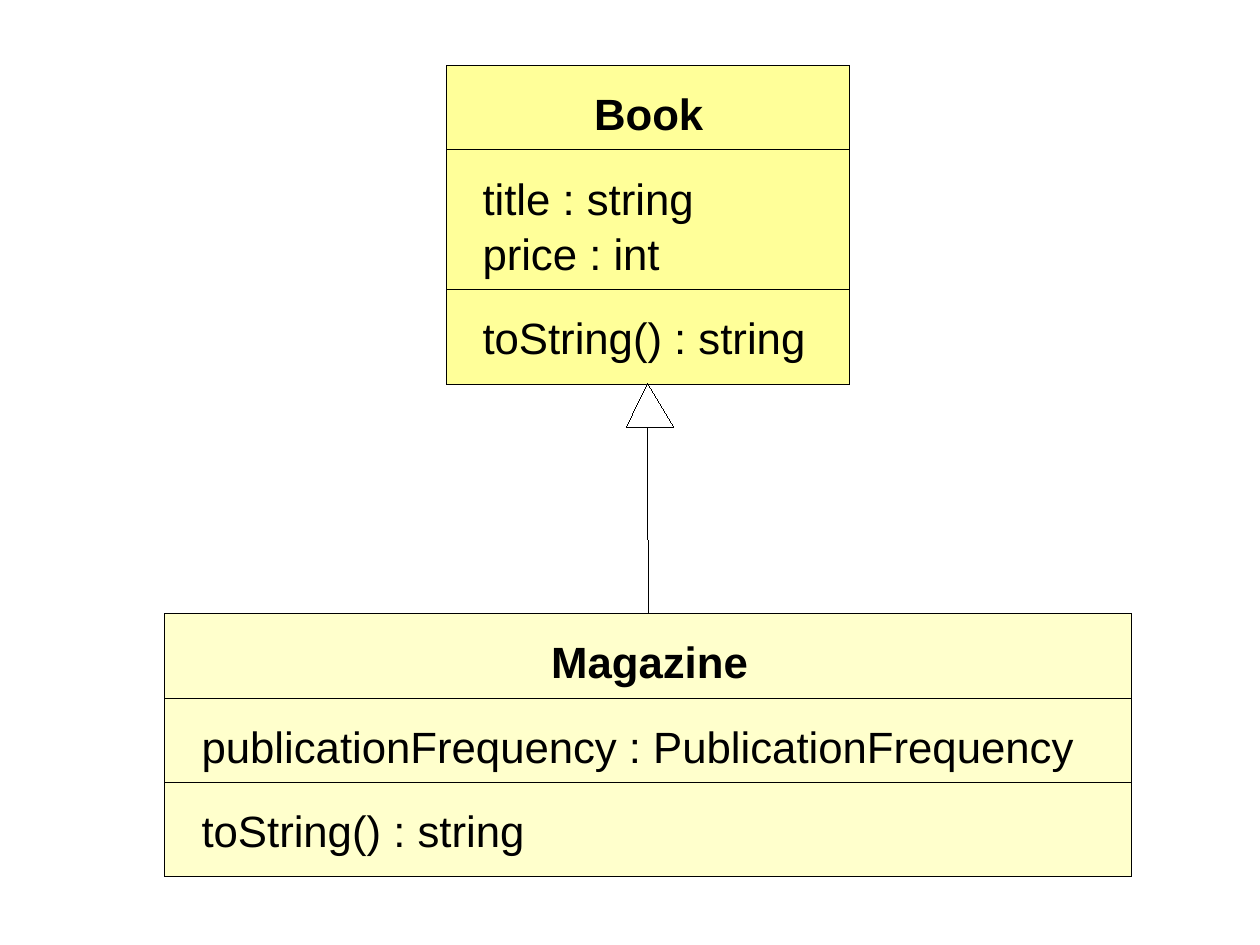
from lxml.etree import SubElement
from pptx import Presentation
from pptx.dml.color import RGBColor
from pptx.enum.shapes import MSO_CONNECTOR, MSO_SHAPE
from pptx.oxml.ns import qn
from pptx.util import Inches as In, Pt

# Row rules shared by every class box, in inches
HEAD, ROW, TOP, PAD, FOOT = 0.67, 0.44, 0.17, 0.06, 0.08
INSET, SHIFT = 0.29, 0.1
BLACK = "000000"
HAIR = Pt(0.01)


def color(code):
    return RGBColor.from_string(code)


def ink(line):
    line.color.rgb = color(BLACK)
    line.width = HAIR


def paint(shape, fill):
    shape.shadow.inherit = False
    shape.fill.solid()
    shape.fill.fore_color.rgb = color(fill)
    ink(shape.line)


def add_line(parent, x1, y1, x2, y2):
    line = parent.add_connector(MSO_CONNECTOR.STRAIGHT, In(x1), In(y1), In(x2), In(y2))
    ink(line.line)
    SubElement(line._element.spPr, qn("a:effectLst"))
    return line


def add_text(parent, text, x, y, width, bold=False):
    frame = parent.add_textbox(In(x), In(y), In(width), In(ROW)).text_frame
    frame.margin_left = frame.margin_right = 0
    frame.margin_top = frame.margin_bottom = 0
    frame.word_wrap = False
    run = frame.paragraphs[0].add_run()
    run.text = text
    run.font.name, run.font.size, run.font.bold = "Arial", Pt(25), bold
    run.font.color.rgb = color(BLACK)


def add_class(slide, name, parts, x, y, width, fill):
    """Draw a class: a bold name, then one ruled section per list in parts."""
    group = slide.shapes.add_group_shape().shapes
    rows = sum(len(part) for part in parts)
    height = HEAD + ROW * rows + (TOP + PAD) * len(parts) + FOOT
    box = group.add_shape(MSO_SHAPE.RECTANGLE, In(x), In(y), In(width), In(height))
    paint(box, fill)

    # Name, centred over the box; its frame has spare room on the right
    label, size = name
    add_text(group, label, x + (width - size) / 2 + SHIFT, y + TOP, size, bold=True)

    # Sections, each under its own rule
    edge = y + HEAD
    for part in parts:
        add_line(group, x, edge, x + width, edge)
        for i, (text, size) in enumerate(part):
            add_text(group, text, x + INSET, edge + TOP + i * ROW, size)
        edge += TOP + ROW * len(part) + PAD
    return box


def add_tip(slide, x, y, width, height):
    """Draw the hollow inheritance triangle with its point at x, y."""
    pen = slide.shapes.build_freeform(In(x), In(y))
    base = In(y + height)
    pen.add_line_segments([(In(x - width * 0.45), base), (In(x + width * 0.55), base)])
    paint(pen.convert_to_shape(), "FFFFFF")


def main():
    deck = Presentation()
    deck.slide_width, deck.slide_height = In(10), In(7.5)
    slide = deck.slides.add_slide(deck.slide_layouts[6])

    # Classes, with the width of each text
    method = [("toString() : string", 2.73)]
    add_class(slide, ("Book", 1.05),
              [[("title : string", 1.83), ("price : int", 1.57)], method],
              3.54, 0.52, 3.2, "FFFF99")
    child = add_class(slide, ("Magazine", 1.74),
                      [[("publicationFrequency : PublicationFrequency", 7.12)], method],
                      1.31, 4.87, 7.67, "FFFFCC")

    # Inheritance arrow from Magazine up to Book
    mid, peak, rise = 5.14, 3.04, 0.35
    stem = add_line(slide.shapes, mid, 4.87, mid, peak + rise)
    stem.begin_connect(child, 0)
    add_tip(slide, mid, peak, 0.38, rise)

    deck.save("out.pptx")


if __name__ == "__main__":
    main()
